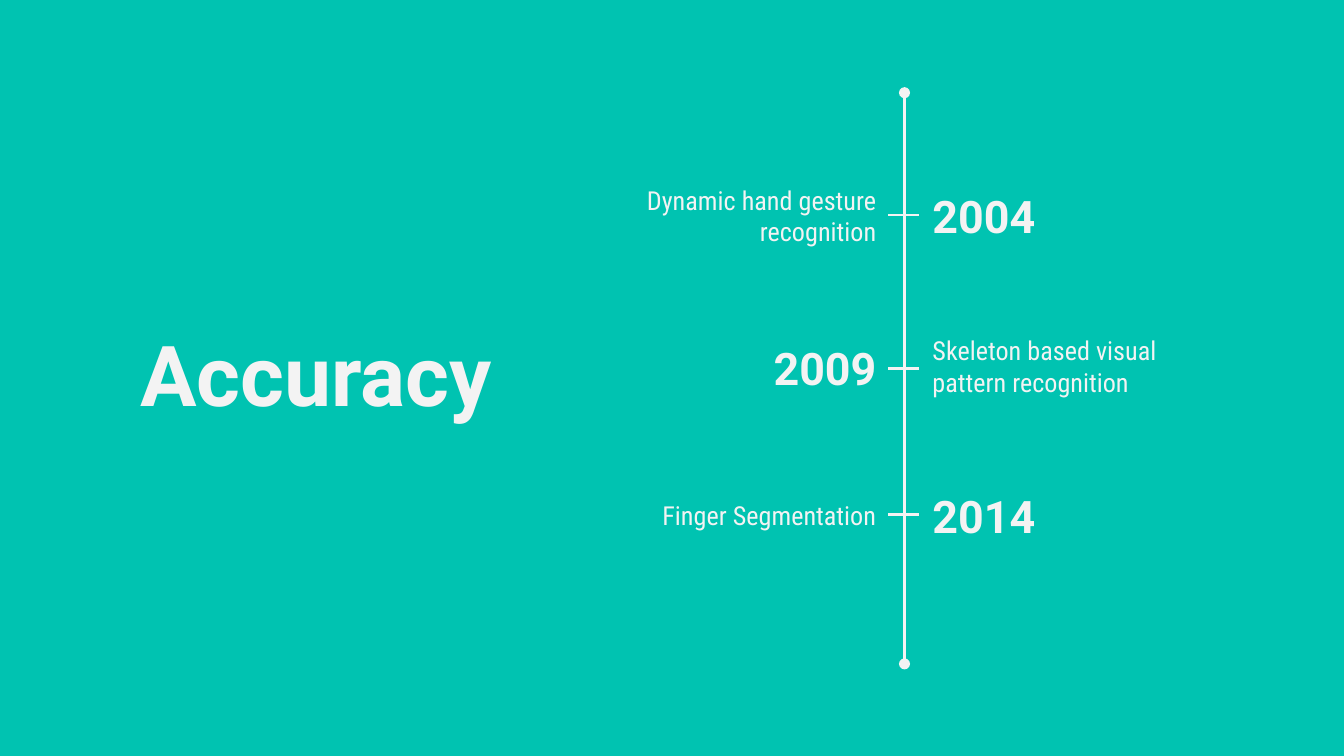
from dataclasses import dataclass

from lxml import etree
from pptx import Presentation
from pptx.dml.color import RGBColor
from pptx.enum.shapes import MSO_CONNECTOR
from pptx.enum.text import MSO_ANCHOR, MSO_AUTO_SIZE, PP_ALIGN
from pptx.oxml.ns import qn
from pptx.util import Inches, Pt

LEFT, RIGHT = PP_ALIGN.LEFT, PP_ALIGN.RIGHT
TOP, MIDDLE = MSO_ANCHOR.TOP, MSO_ANCHOR.MIDDLE
NO_AUTOFIT = MSO_AUTO_SIZE.NONE
STRAIGHT = MSO_CONNECTOR.STRAIGHT

COLORS = {"background": "00C3B1", "foreground": "F3F3F3"}
HEADING_FONT = "Roboto"
BODY_FONT = "Roboto Condensed"

TITLE_ONLY = 5
SLIDE_WIDTH = 10
AXIS_X, AXIS_TOP, AXIS_BOTTOM = 6.73, 0.69, 4.94
TICK_LEFT, TICK_RIGHT = 6.61, 6.84
LABEL_WIDTH, LABEL_HEIGHT = 2.26, 0.69
LEFT_LABEL_X, RIGHT_LABEL_X = 4.36, 6.84


@dataclass
class Milestone:
    year: str
    description: str
    top: float
    tick_y: float
    year_on_right: bool
    description_anchor: MSO_ANCHOR = MIDDLE


MILESTONES = [
    Milestone("2004", "Dynamic hand gesture recognition", 1.26, 1.6, True),
    Milestone("2009", "Skeleton based visual pattern recognition", 2.39, 2.74, False, TOP),
    Milestone("2014", "Finger Segmentation", 3.49, 3.83, True),
]


def color(name: str) -> RGBColor:
    return RGBColor.from_string(COLORS[name])


def write_text(shape, text: str, size: float, heading: bool, alignment: PP_ALIGN,
               anchor: MSO_ANCHOR) -> None:
    frame = shape.text_frame
    frame.word_wrap = True
    frame.auto_size = NO_AUTOFIT
    frame.vertical_anchor = anchor
    frame.margin_left = frame.margin_right = Inches(0.1)
    frame.margin_top = frame.margin_bottom = Inches(0.1)
    paragraph = frame.paragraphs[0]
    paragraph.alignment = alignment
    run = paragraph.add_run()
    run.text = text
    run.font.name = HEADING_FONT if heading else BODY_FONT
    run.font.size = Pt(size)
    run.font.bold = heading
    run.font.color.rgb = color("foreground")


def add_label(slide, text: str, top: float, on_right: bool, heading: bool,
              anchor: MSO_ANCHOR) -> None:
    left = RIGHT_LABEL_X if on_right else LEFT_LABEL_X
    shape = slide.shapes.add_textbox(Inches(left), Inches(top),
                                     Inches(LABEL_WIDTH), Inches(LABEL_HEIGHT))
    write_text(shape, text, 24 if heading else 14, heading,
               LEFT if on_right else RIGHT, anchor)


def add_line(slide, x1: float, y1: float, x2: float, y2: float,
             round_ends: bool = False) -> None:
    connector = slide.shapes.add_connector(STRAIGHT, Inches(x1), Inches(y1),
                                           Inches(x2), Inches(y2))
    connector.line.color.rgb = color("foreground")
    connector.line.width = Pt(1.5)
    if round_ends:
        line = connector.line._get_or_add_ln()
        for end in ("a:headEnd", "a:tailEnd"):
            etree.SubElement(line, qn(end), type="oval")
    etree.SubElement(connector._element.spPr, qn("a:effectLst"))


def main() -> None:
    # Widescreen 16:9 page
    presentation = Presentation()
    presentation.slide_width = Inches(SLIDE_WIDTH)
    presentation.slide_height = Inches(SLIDE_WIDTH * 9 / 16)
    slide = presentation.slides.add_slide(presentation.slide_layouts[TITLE_ONLY])
    slide.background.fill.solid()
    slide.background.fill.fore_color.rgb = color("background")

    # Title
    title = slide.shapes.title
    title.left, title.top = Inches(0.74), Inches(2.3)
    title.width, title.height = Inches(3.02), Inches(0.87)
    write_text(title, "Accuracy", 45, True, RIGHT, TOP)

    # Timeline axis
    add_line(slide, AXIS_X, AXIS_TOP, AXIS_X, AXIS_BOTTOM, round_ends=True)

    # Milestones: year and description on opposite sides of a tick
    for milestone in MILESTONES:
        add_label(slide, milestone.description, milestone.top,
                  not milestone.year_on_right, False, milestone.description_anchor)
        add_label(slide, milestone.year, milestone.top,
                  milestone.year_on_right, True, MIDDLE)
        add_line(slide, TICK_LEFT, milestone.tick_y, TICK_RIGHT, milestone.tick_y)

    presentation.save("out.pptx")


if __name__ == "__main__":
    main()
